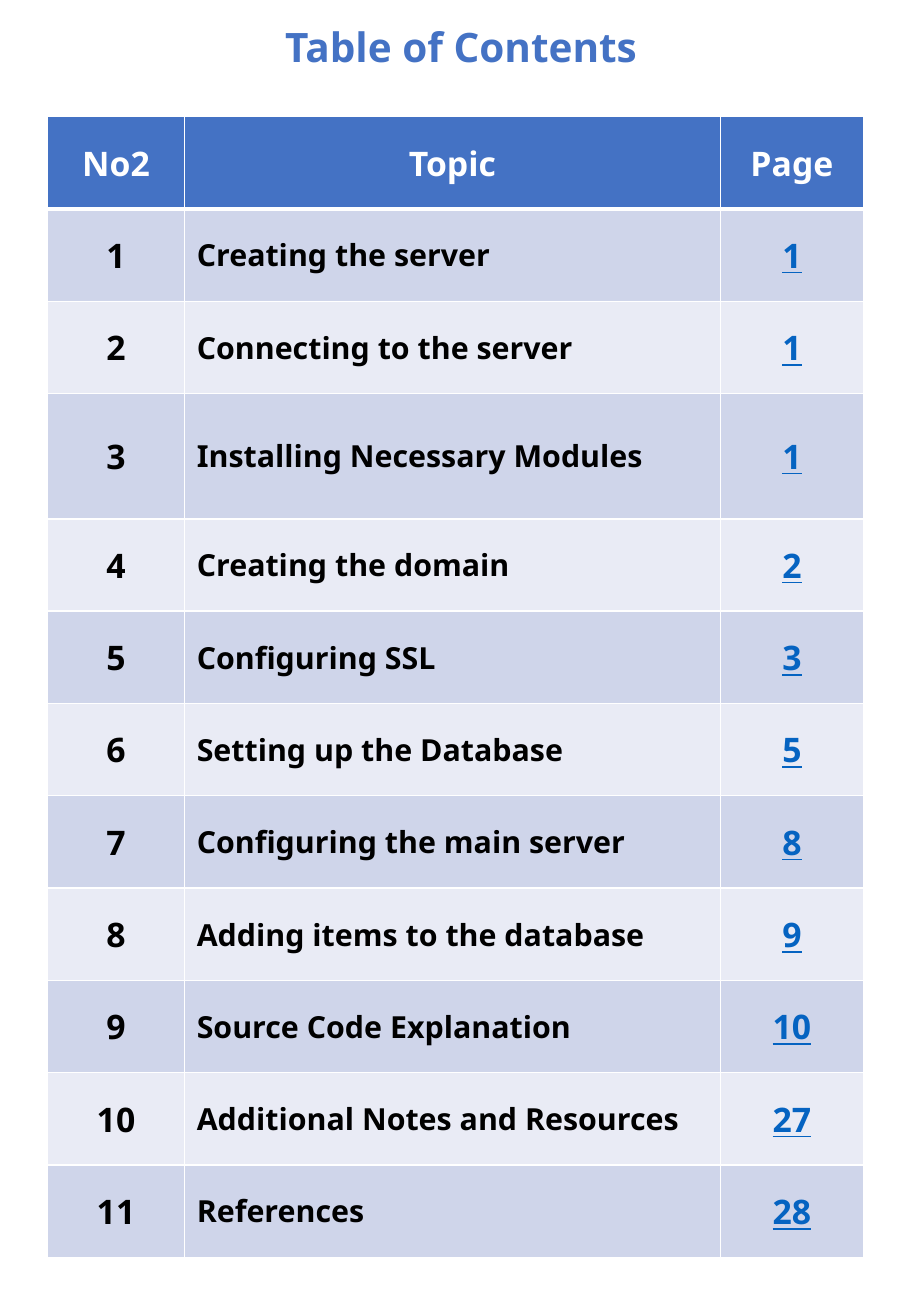
from lxml.etree import SubElement
from pptx import Presentation
from pptx.dml.color import RGBColor
from pptx.enum.text import MSO_ANCHOR, MSO_AUTO_SIZE, PP_ALIGN
from pptx.oxml.ns import qn
from pptx.util import Inches, Pt

COLORS = {
    "accent": "4472C4",
    "white": "FFFFFF",
    "black": "000000",
    "link": "0563C1",
    "odd": "CFD5EA",
    "even": "E9EBF5",
}
HEADINGS = ("No2", "Topic", "Page")
TOPICS = [
    ("Creating the server", 1),
    ("Connecting to the server", 1),
    ("Installing Necessary Modules", 1),
    ("Creating the domain", 2),
    ("Configuring SSL", 3),
    ("Setting up the Database", 5),
    ("Configuring the main server", 8),
    ("Adding items to the database", 9),
    ("Source Code Explanation", 10),
    ("Additional Notes and Resources", 27),
    ("References", 28),
]
COLUMN_WIDTHS = (1.13, 4.41, 1.18)
ROW_HEIGHT, TALL_ROW_HEIGHT, TALL_ROW = 0.76, 1.03, 3
COLUMN_FORMATS = (
    {"size": 20, "color": "black"},
    {"size": 18, "color": "black", "align": PP_ALIGN.LEFT},
    {"size": 20, "color": "link", "underline": True},
)


class ContentsPage:
    """Holds the type style and the current slide, and adds its elements."""

    def __init__(self, slide, font="Noto Sans"):
        self.slide = slide
        self.font = font

    def label(self, frame, text, size, color, align=PP_ALIGN.CENTER, underline=None):
        paragraph = frame.paragraphs[0]
        paragraph.alignment = align
        run = paragraph.add_run()
        run.text = text
        formats = {"name": self.font, "size": Pt(size), "bold": True, "underline": underline}
        for attribute, value in formats.items():
            setattr(run.font, attribute, value)
        run.font.color.rgb = RGBColor.from_string(COLORS[color])

    def title(self, text, left, top, width, height):
        box = self.slide.shapes.add_textbox(*map(Inches, (left, top, width, height)))
        box.text_frame.word_wrap = True
        box.text_frame.auto_size = MSO_AUTO_SIZE.SHAPE_TO_FIT_TEXT
        self.label(box.text_frame, text, 24, "accent")

    def borders(self, cell, top, bottom):
        properties = cell._tc.get_or_add_tcPr()
        for side, points in {"L": 1, "R": 1, "T": top, "B": bottom}.items():
            line = SubElement(properties, qn(f"a:ln{side}"), w=str(Pt(points)))
            fill = SubElement(line, qn("a:solidFill"))
            SubElement(fill, qn("a:srgbClr"), val=COLORS["white"])

    def cell(self, cell, text, fill, top=1, bottom=1, **text_format):
        self.borders(cell, top, bottom)
        cell.fill.solid()
        cell.fill.fore_color.rgb = RGBColor.from_string(COLORS[fill])
        cell.vertical_anchor = MSO_ANCHOR.MIDDLE
        self.label(cell.text_frame, text, **text_format)

    def contents(self, topics, left, top):
        heights = [ROW_HEIGHT] * (len(topics) + 1)
        heights[TALL_ROW] = TALL_ROW_HEIGHT
        size = map(Inches, (left, top, sum(COLUMN_WIDTHS), sum(heights)))
        table = self.slide.shapes.add_table(len(heights), len(HEADINGS), *size).table
        for column, width in zip(table.columns, COLUMN_WIDTHS):
            column.width = Inches(width)
        for row, height in zip(table.rows, heights):
            row.height = Inches(height)
        for column, heading in enumerate(HEADINGS):
            self.cell(table.cell(0, column), heading, "accent", bottom=3, size=20, color="white")
        for number, (topic, page) in enumerate(topics, 1):
            band = "odd" if number % 2 else "even"
            upper = 3 if number == 1 else 1
            for column, value in enumerate((number, topic, page)):
                self.cell(table.cell(number, column), str(value), band, top=upper,
                          **COLUMN_FORMATS[column])


def main():
    presentation = Presentation()
    presentation.slide_width = Inches(7.5)
    presentation.slide_height = Inches(10.83)
    page = ContentsPage(presentation.slides.add_slide(presentation.slide_layouts[6]))
    page.title("Table of Contents", 0.14, 0.13, 7.31, 0.5)
    page.contents(TOPICS, 0.39, 0.96)
    presentation.save("out.pptx")


if __name__ == "__main__":
    main()
